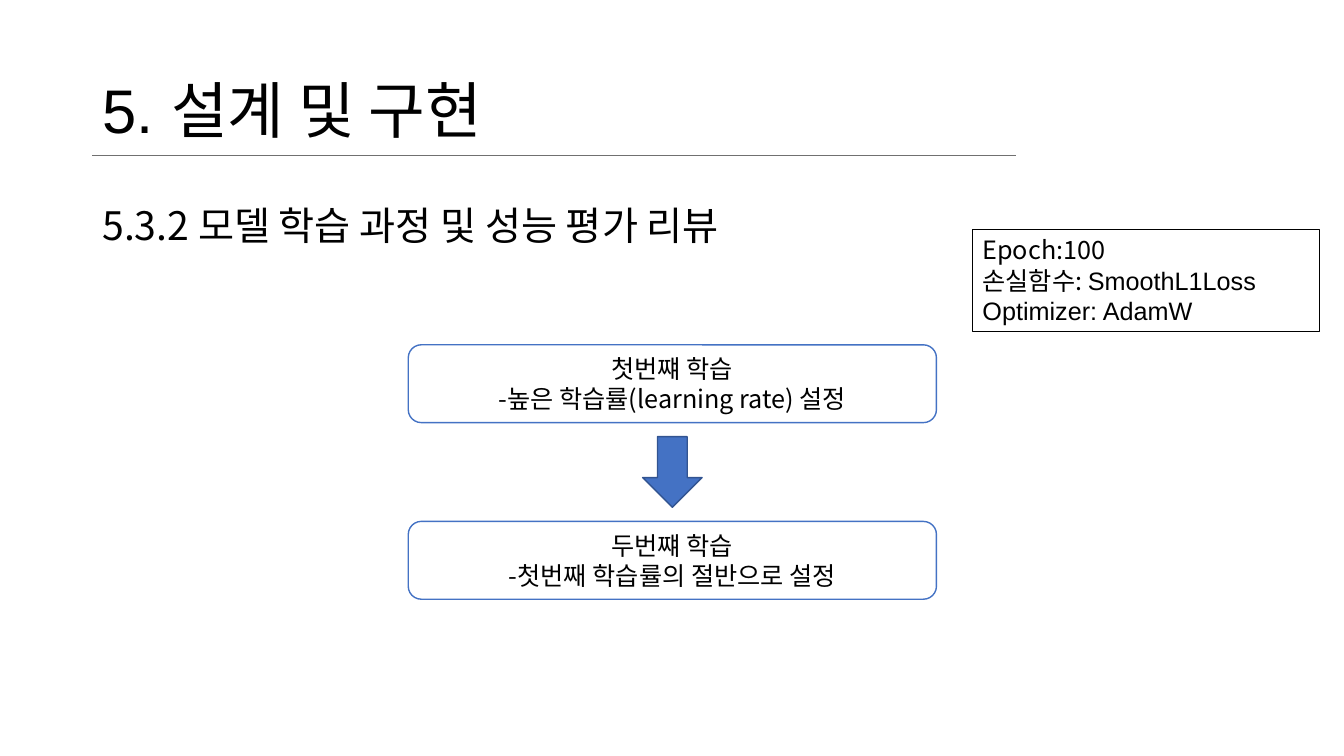
from lxml.etree import SubElement
from pptx import Presentation
from pptx.dml.color import RGBColor
from pptx.enum.shapes import MSO_CONNECTOR, MSO_SHAPE
from pptx.enum.text import MSO_ANCHOR, MSO_AUTO_SIZE, PP_ALIGN
from pptx.oxml.ns import qn
from pptx.util import Cm, Pt

LATIN, KOREAN = "Arial", "Noto Sans CJK KR"
BLACK, WHITE, BLUE, DARK_BLUE, GRAY = "000000", "FFFFFF", "4472C4", "325491", "707070"


def color(value):
    return RGBColor.from_string(value)


class SlideBuilder:
    def __init__(self, presentation):
        self.slide = presentation.slides.add_slide(presentation.slide_layouts[5])
        self.shapes = self.slide.shapes

    def set_text(self, shape, lines, size, anchor=MSO_ANCHOR.TOP, align=PP_ALIGN.LEFT, spacing=1.0):
        frame = shape.text_frame
        frame.word_wrap = True
        frame.auto_size = MSO_AUTO_SIZE.NONE
        frame.vertical_anchor = anchor
        for index, (text, font_name) in enumerate(lines):
            paragraph = frame.add_paragraph() if index else frame.paragraphs[0]
            paragraph.text = text
            paragraph.alignment = align
            paragraph.line_spacing = spacing
            font = paragraph.font
            font.name = font_name
            font.size = Pt(size)
            font.color.rgb = color(BLACK)
            defaults = paragraph._p.pPr.find(qn("a:defRPr"))
            SubElement(defaults, qn("a:ea")).set("typeface", KOREAN)
        return frame

    def title(self, text, left, top, width, height):
        title = self.shapes.title
        title.left, title.top, title.width, title.height = map(Cm, (left, top, width, height))
        self.set_text(title, [(text, LATIN)], 44, MSO_ANCHOR.MIDDLE, spacing=0.9)

    def heading(self, text, left, top, width, height):
        box = self.shapes.add_textbox(*map(Cm, (left, top, width, height)))
        self.set_text(box, [(text, KOREAN)], 28, spacing=0.9)

    def rule(self, left, right, top):
        line = self.shapes.add_connector(
            MSO_CONNECTOR.STRAIGHT, Cm(left), Cm(top), Cm(right), Cm(top))
        line.line.color.rgb = color(GRAY)
        line.line.width = Pt(0.5)
        SubElement(line._element.spPr, qn("a:effectLst"))

    def block(self, kind, left, top, width, height, fill, outline, weight=1):
        shape = self.shapes.add_shape(kind, *map(Cm, (left, top, width, height)))
        shape.shadow.inherit = False
        if fill:
            shape.fill.solid()
            shape.fill.fore_color.rgb = color(fill)
        else:
            shape.fill.background()
        shape.line.color.rgb = color(outline)
        shape.line.width = Pt(weight)
        return shape

    def settings(self, lines, left, top, width, height):
        box = self.block(MSO_SHAPE.RECTANGLE, left, top, width, height, None, BLACK, 0.75)
        return self.set_text(box, lines, 18)

    def step(self, lines, left, top, width, height):
        box = self.block(MSO_SHAPE.ROUNDED_RECTANGLE, left, top, width, height, WHITE, BLUE)
        self.set_text(box, [(line, KOREAN) for line in lines], 18,
                      MSO_ANCHOR.MIDDLE, PP_ALIGN.CENTER)


def main():
    presentation = Presentation()
    presentation.slide_width = Cm(33.87)
    presentation.slide_height = Cm(19.05)
    builder = SlideBuilder(presentation)

    builder.title("5. 설계 및 구현", 2.33, 1.02, 29.21, 3.68)
    builder.heading("5.3.2 모델 학습 과정 및 성능 평가 리뷰", 2.33, 5.08, 29.21, 12.09)
    builder.rule(2.33, 25.6, 3.91)

    settings = builder.settings(
        [("Epoch:100", KOREAN), ("손실함수: ", KOREAN), ("Optimizer: AdamW", LATIN)],
        24.51, 5.79, 8.74, 2.57)
    loss_name = settings.paragraphs[1].add_run()
    loss_name.text = "SmoothL1Loss"
    loss_name.font.name = LATIN

    step_left, step_width, step_height = 10.29, 13.31, 1.96
    first_top, step_pitch = 8.69, 4.45
    steps = [
        ("첫번쨰 학습", "-높은 학습률(learning rate) 설정"),
        ("두번쨰 학습", "-첫번째 학습률의 절반으로 설정"),
    ]
    for index, lines in enumerate(steps):
        builder.step(lines, step_left, first_top + index * step_pitch, step_width, step_height)

    arrow_width, arrow_height = 1.5, 1.78
    arrow_left = step_left + (step_width - arrow_width) / 2
    arrow_top = first_top + (step_pitch + step_height - arrow_height) / 2
    builder.block(MSO_SHAPE.DOWN_ARROW, arrow_left, arrow_top,
                  arrow_width, arrow_height, BLUE, DARK_BLUE)

    presentation.save("out.pptx")


if __name__ == "__main__":
    main()
